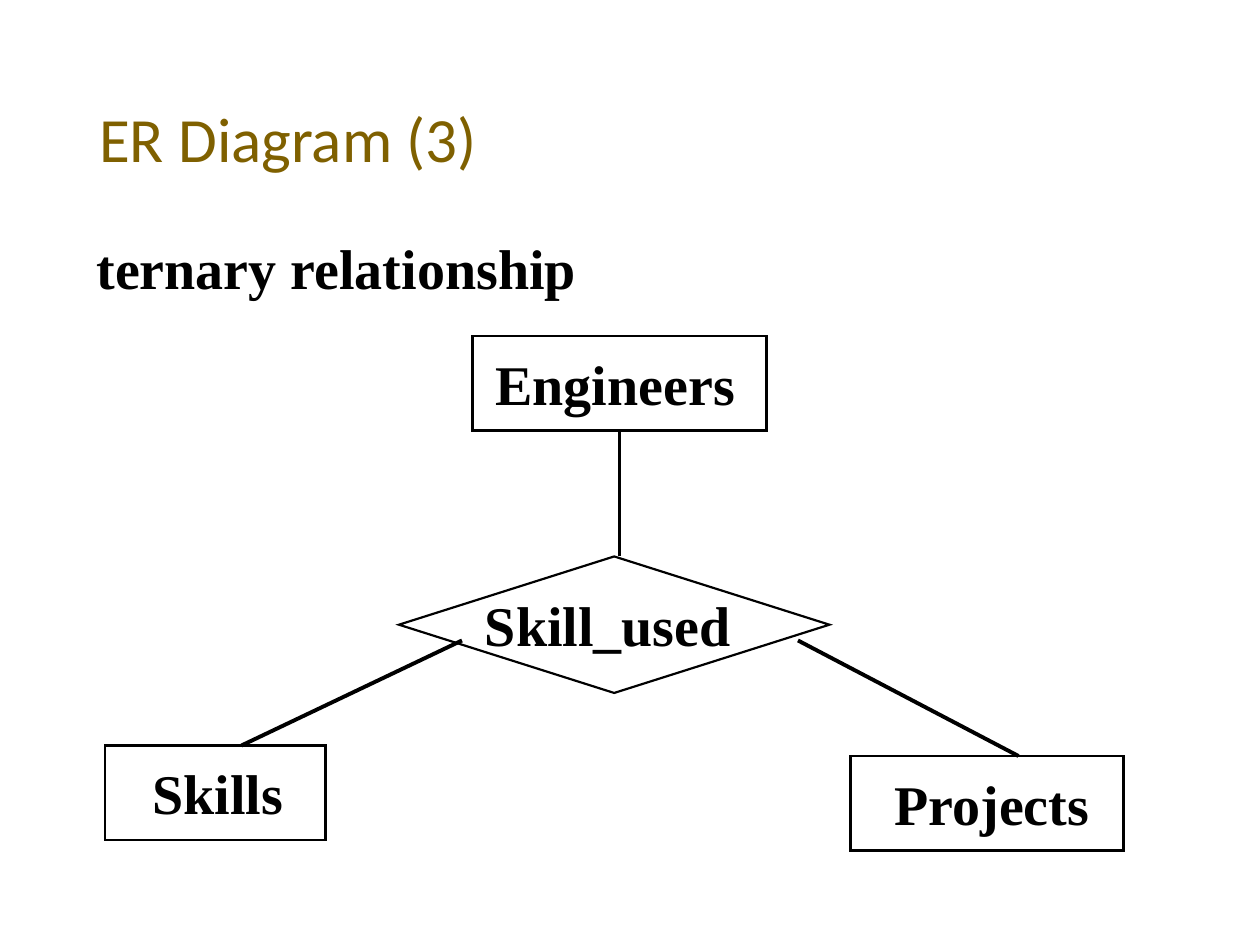
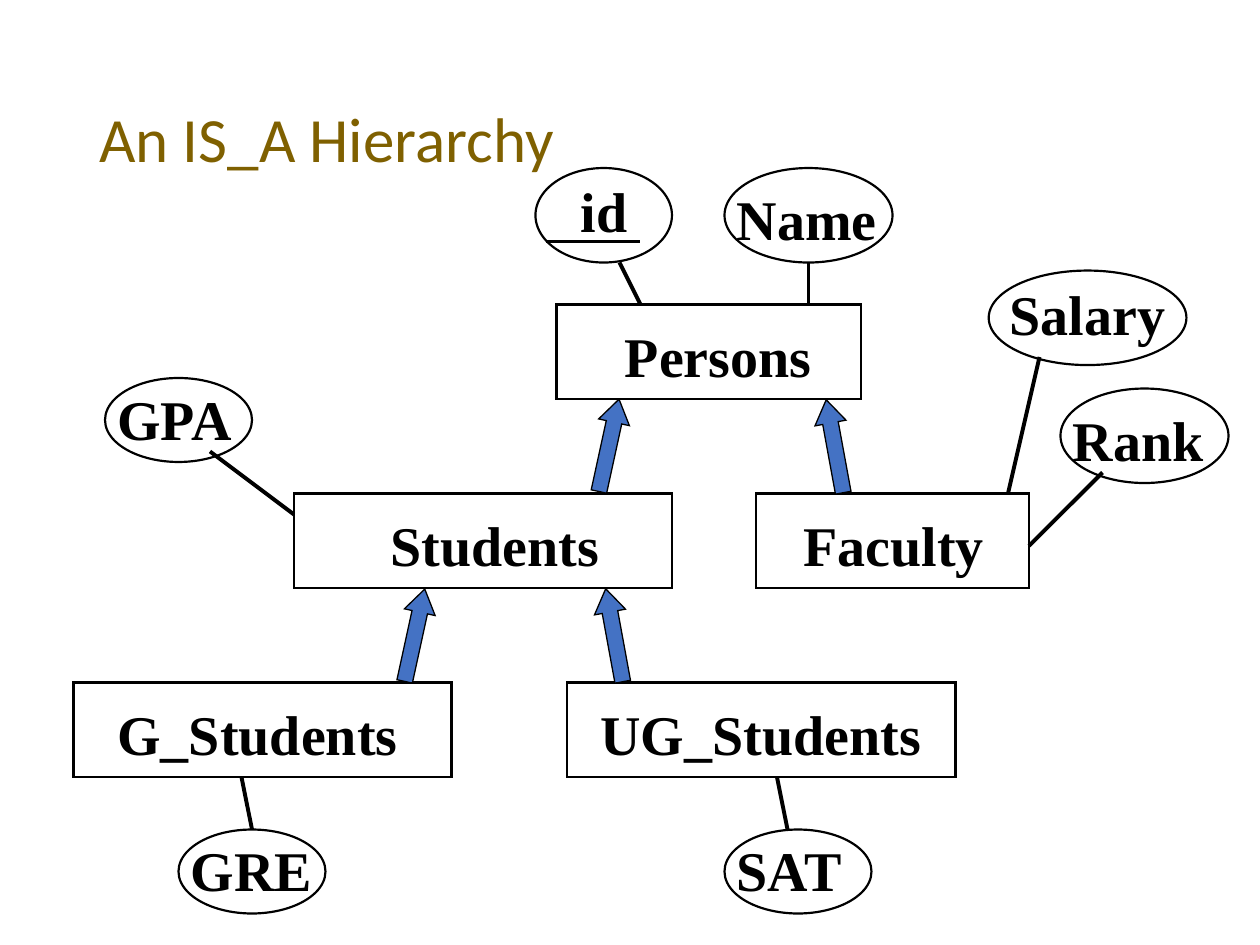
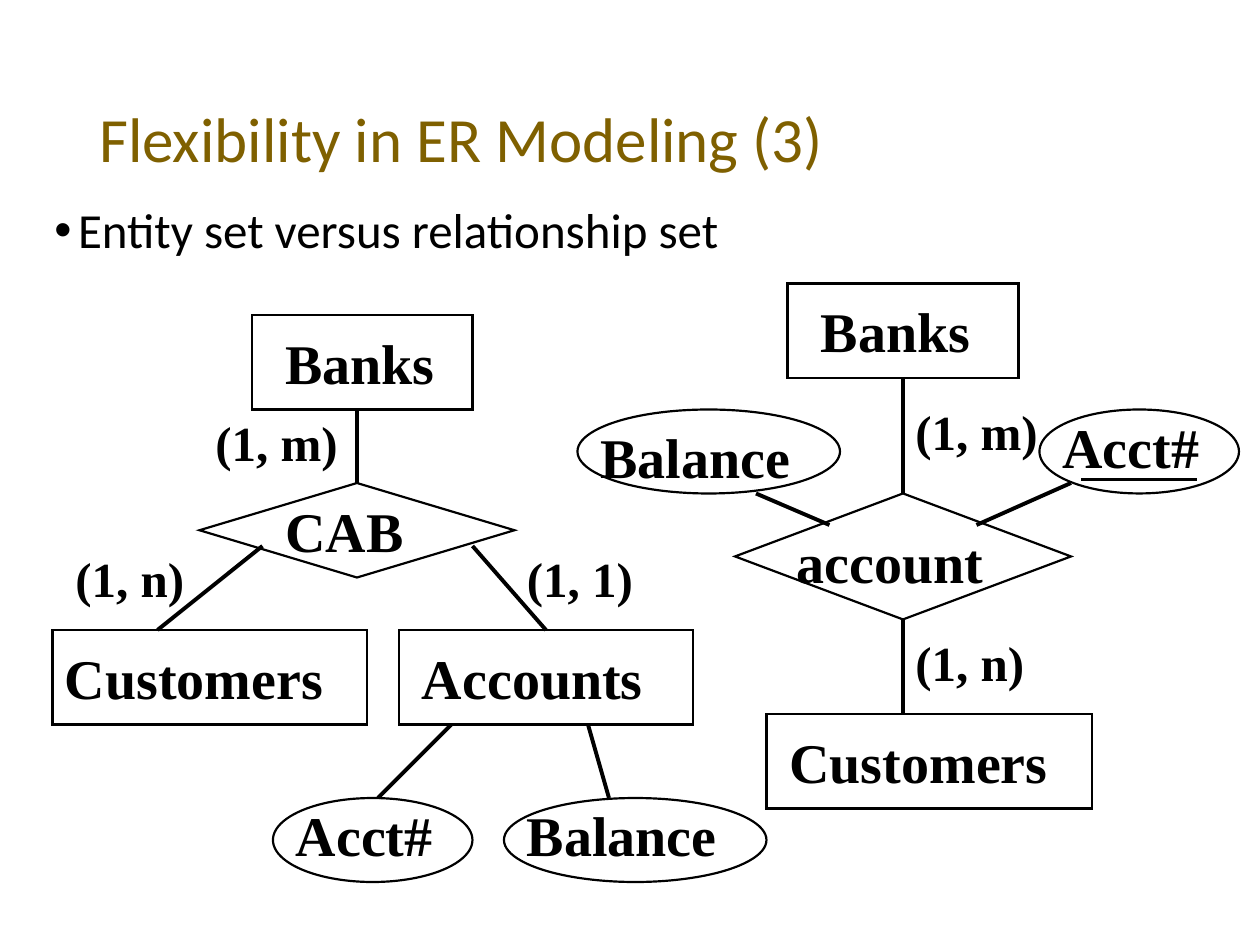
from lxml import etree
from pptx import Presentation
from pptx.dml.color import RGBColor
from pptx.enum import shapes, text
from pptx.oxml.ns import qn
from pptx.util import Pt

BLACK = RGBColor(0x00, 0x00, 0x00)
GOLD = RGBColor(0x7F, 0x60, 0x00)
BLUE = RGBColor(0x44, 0x72, 0xC4)
HEADING_FONT = "Calibri"
DIAGRAM_FONT = "Times New Roman"
PRESET = shapes.MSO_SHAPE
TITLE_ONLY = 5


def points(*values):
    return [Pt(value) for value in values]


def write(frame, content, *, font=DIAGRAM_FONT, size=32, color=BLACK,
          bold=False, spacing=None, bullet=None, indent=0):
    """Fill a text frame with one left-aligned paragraph."""
    paragraph = frame.paragraphs[0]
    paragraph.text = content
    paragraph.alignment = text.PP_ALIGN.LEFT
    if spacing:
        paragraph.line_spacing = spacing
    if bullet:
        properties = paragraph._p.get_or_add_pPr()
        properties.set("marL", str(Pt(indent)))
        properties.set("indent", str(-Pt(indent)))
        etree.SubElement(properties, qn("a:buFont"), typeface="Arial")
        etree.SubElement(properties, qn("a:buChar"), char=bullet)
    style = paragraph.runs[0].font
    style.name, style.size, style.bold = font, Pt(size), bold
    style.color.rgb = color


class Diagram:
    """Draws entity-relationship slides; all lengths are in points."""

    entity_height = 54
    outline = 1.25
    link_width = 2.25

    def __init__(self, presentation):
        self.presentation = presentation
        self.slide = None

    def new_slide(self, title):
        layout = self.presentation.slide_layouts[TITLE_ONLY]
        self.slide = self.presentation.slides.add_slide(layout)
        shape = self.slide.shapes.title
        shape.left, shape.top, shape.width, shape.height = points(49.5, 28.8, 621, 104.4)
        frame = shape.text_frame
        frame.auto_size = text.MSO_AUTO_SIZE.NONE
        frame.vertical_anchor = text.MSO_ANCHOR.MIDDLE
        write(frame, title, font=HEADING_FONT, size=36, color=GOLD, spacing=0.9)

    def bullet(self, content, left, top, width, height):
        shape = self.slide.shapes.add_textbox(*points(left, top, width, height))
        shape.text_frame.word_wrap = True
        write(shape.text_frame, content, font=HEADING_FONT, size=28,
              spacing=0.9, bullet="•", indent=13.5)

    def label(self, content, left, top, width, size=32):
        height = 46 if size == 32 else 41
        shape = self.slide.shapes.add_textbox(*points(left, top, width, height))
        shape.text_frame.word_wrap = False
        shape.text_frame.auto_size = text.MSO_AUTO_SIZE.SHAPE_TO_FIT_TEXT
        write(shape.text_frame, content, size=size, bold=True)

    def cardinality(self, content, left, top, width):
        self.label(content, left, top, width, size=28)

    def preset(self, kind, box, line_width):
        shape = self.slide.shapes.add_shape(kind, *points(*box))
        shape.shadow.inherit = False
        shape.fill.background()
        shape.line.color.rgb = BLACK
        shape.line.width = Pt(line_width)
        outline = shape._element.spPr.find(qn("a:ln"))
        etree.SubElement(outline, qn("a:miter"), lim="800000")
        return shape

    def node(self, kind, content, box, label_at):
        self.preset(kind, box, self.outline)
        self.label(content, *label_at)

    def entity(self, content, left, top, width, label_at):
        self.node(PRESET.RECTANGLE, content,
                  (left, top, width, self.entity_height), label_at)

    def attribute(self, content, box, label_at):
        self.node(PRESET.OVAL, content, box, label_at)

    def relationship(self, content, box, label_at):
        self.node(PRESET.DIAMOND, content, box, label_at)

    def links(self, *ends):
        """Draw one line for each (x1, y1, x2, y2)."""
        for end in ends:
            connector = self.slide.shapes.add_connector(
                shapes.MSO_CONNECTOR.STRAIGHT, *points(*end))
            connector.line.color.rgb = BLACK
            connector.line.width = Pt(self.link_width)
            etree.SubElement(connector._element.spPr, qn("a:effectLst"))

    def is_a_arrow(self, left, top, rotation):
        arrow = self.preset(PRESET.RIGHT_ARROW, (left, top, 54, 18), 0.75)
        arrow.fill.solid()
        arrow.fill.fore_color.rgb = BLUE
        arrow.adjustments[0], arrow.adjustments[1] = 0.5, 0.75
        arrow.rotation = rotation


def ternary_slide(diagram):
    diagram.new_slide("ER Diagram (3)")
    diagram.label("ternary relationship", 48, 130, 290)
    diagram.entity("Engineers", 270, 192, 168, (276, 196, 153))
    diagram.relationship("Skill_used", (228, 318, 246, 78), (270, 334, 156))
    diagram.entity("Skills", 60, 426, 126, (80, 430, 98))
    diagram.entity("Projects", 486, 432, 156, (504, 436, 127))
    diagram.links((354, 318, 354, 246), (138, 426, 264, 366), (456, 366, 582, 432))


def hierarchy_slide(diagram):
    diagram.new_slide("An IS_A Hierarchy")
    diagram.entity("Persons", 318, 174, 174, (350, 180, 122))
    diagram.entity("Students", 168, 282, 216, (216, 288, 135))
    diagram.entity("Faculty", 432, 282, 156, (452, 288, 119))
    diagram.entity("G_Students", 42, 390, 216, (60, 396, 176))
    diagram.entity("UG_Students", 324, 390, 222, (336, 396, 199))

    diagram.attribute("id", (306, 96, 78, 54), (324.7, 97.5, 42))
    diagram.attribute("Name", (414, 96, 96, 54), (414, 102, 95))
    diagram.attribute("Salary", (565, 154.6, 113, 54), (570, 156, 105))
    diagram.attribute("Rank", (606, 222, 96, 54), (606, 228, 90))
    diagram.attribute("GPA", (60, 216, 84, 48), (60, 216, 83))
    diagram.attribute("GRE", (102, 474, 84, 48), (102, 474, 85.5))
    diagram.attribute("SAT", (414, 474, 84, 48), (414, 474, 77))

    key_underline = (312, 138, 366, 138)
    diagram.links(key_underline,
                  (366, 174, 354, 150), (462, 174, 462, 150),
                  (594, 204, 576, 282), (630, 270, 588, 312),
                  (120, 258, 168, 294),
                  (138, 444, 144, 474), (444, 444, 450, 474))
    for left, top, rotation in ((321, 245.5, 282.3), (210, 354, 282.3),
                                (450, 246, 259.6), (324, 354, 259.6)):
        diagram.is_a_arrow(left, top, rotation)


def flexibility_slide(diagram):
    diagram.new_slide("Flexibility in ER Modeling (3)")
    diagram.bullet("Entity set versus relationship set", 24, 114, 672, 402)

    # Account as an entity set
    diagram.entity("Banks", 144, 180, 126, (156, 184, 101))
    diagram.relationship("CAB", (114, 276, 180, 54), (156, 280, 83))
    diagram.entity("Customers", 30, 360, 180, (30, 364, 163))
    diagram.entity("Accounts", 228, 360, 168, (234, 364, 142))
    diagram.attribute("Acct#", (156, 456, 114, 48), (162, 454, 94))
    diagram.attribute("Balance", (288, 456, 150, 48), (294, 454, 124))
    diagram.cardinality("(1, m)", 116, 232, 86)
    diagram.cardinality("(1, n)", 36, 310, 78)
    diagram.cardinality("(1, 1)", 294, 310, 76)
    diagram.links((204, 276, 204, 234), (90, 360, 150, 312), (270, 312, 312, 360),
                  (258, 414, 216, 456), (336, 414, 348, 456))

    # Account as a relationship set
    diagram.entity("Banks", 450, 162, 132, (462, 166, 101))
    diagram.relationship("account", (420, 282, 192, 72), (448, 298, 122))
    diagram.entity("Customers", 438, 408, 186, (444, 412, 163))
    diagram.attribute("Balance", (330, 234, 150, 48), (336, 238, 124))
    diagram.attribute("Acct#", (594, 234, 114, 48), (600, 232, 94))
    diagram.cardinality("(1, m)", 516, 226, 86)
    diagram.cardinality("(1, n)", 516, 358, 78)
    key_underline = (618, 274, 684, 274)
    diagram.links(key_underline,
                  (516, 216, 516, 282), (516, 354, 516, 408),
                  (432, 282, 474, 300), (612, 276, 558, 300))


def main():
    presentation = Presentation()
    presentation.slide_width, presentation.slide_height = points(720, 540)
    diagram = Diagram(presentation)
    for build in (ternary_slide, hierarchy_slide, flexibility_slide):
        build(diagram)
    presentation.save("out.pptx")


if __name__ == "__main__":
    main()
